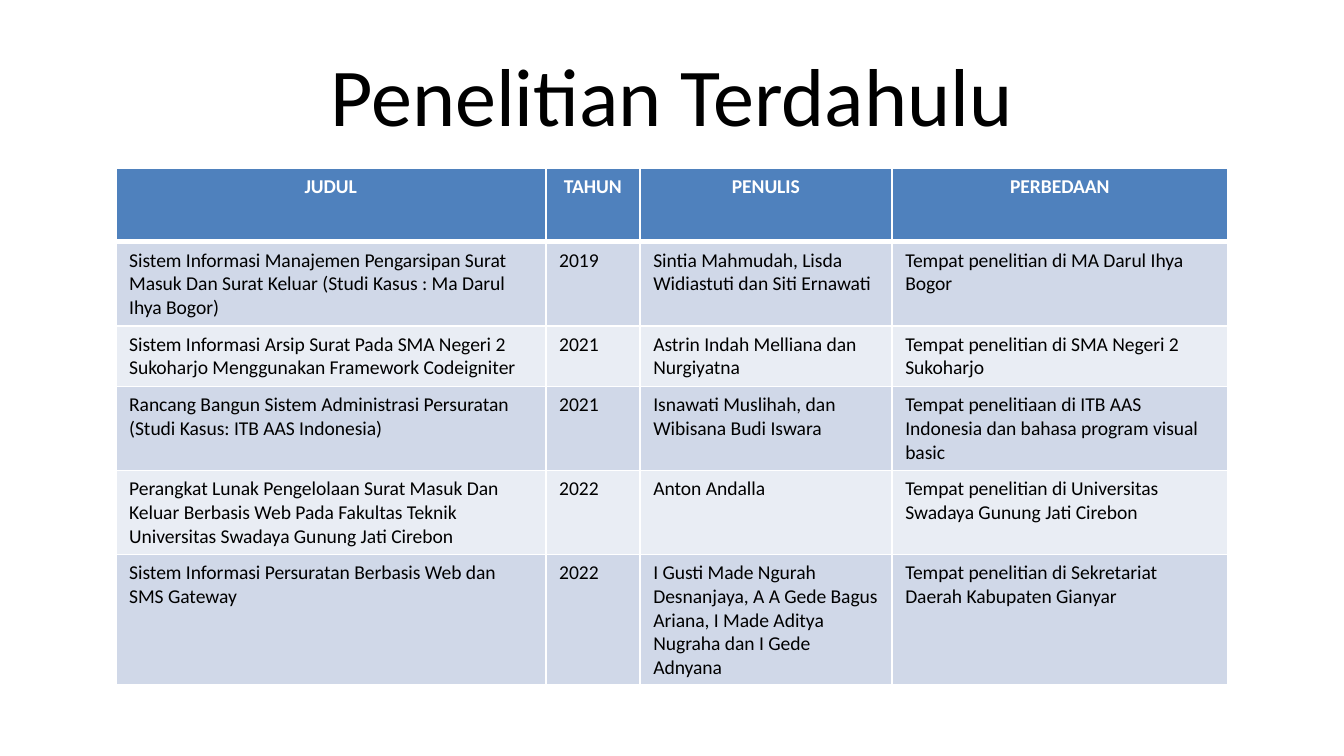
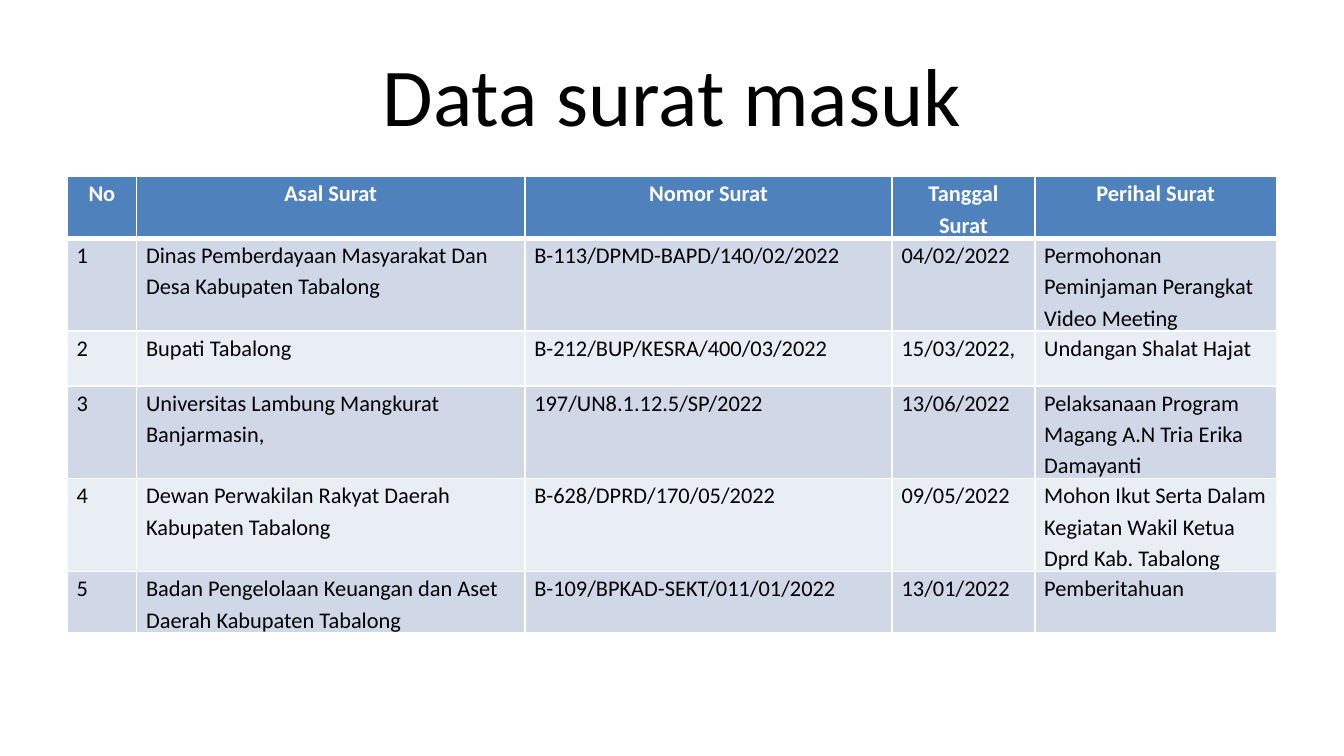
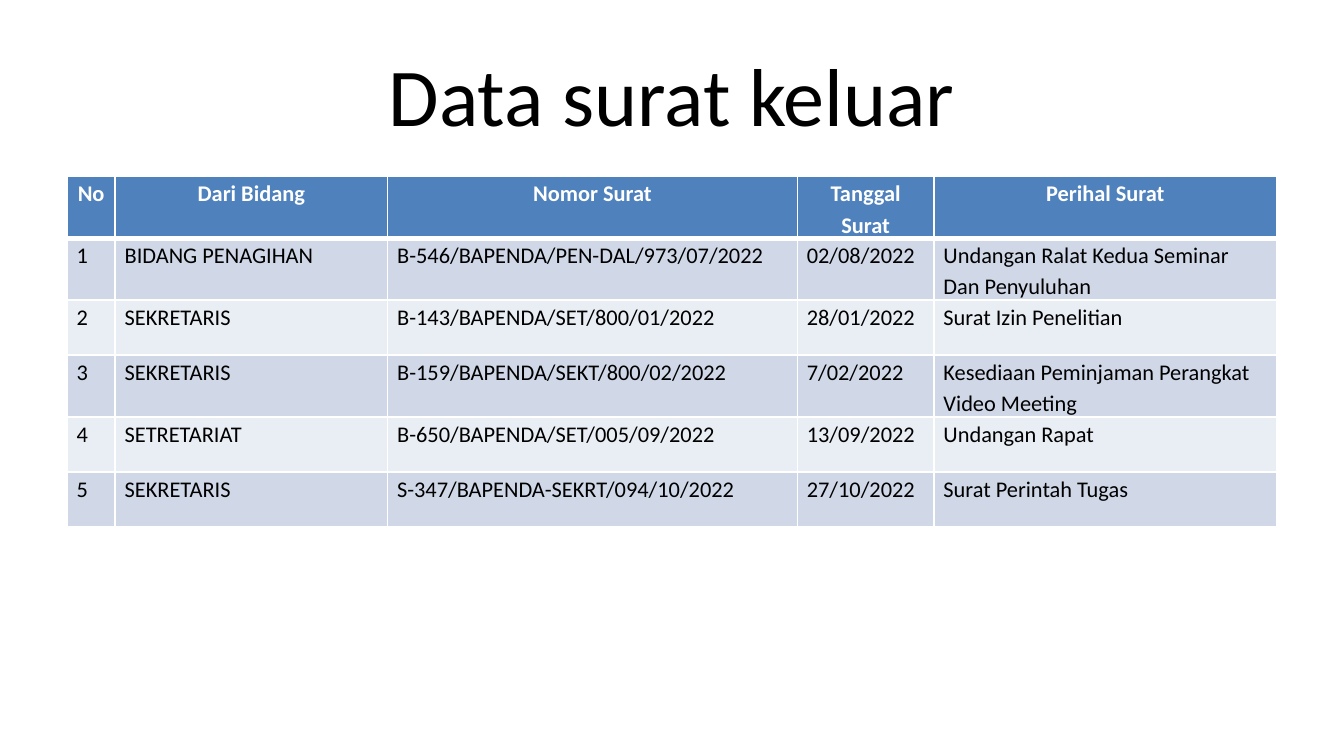
from lxml import etree
from pptx import Presentation
from pptx.dml.color import RGBColor
from pptx.enum.text import MSO_ANCHOR, PP_ALIGN
from pptx.oxml.ns import qn
from pptx.util import Pt

LEFT, CENTER = PP_ALIGN.LEFT, PP_ALIGN.CENTER
TOP, MIDDLE = MSO_ANCHOR.TOP, MSO_ANCHOR.MIDDLE
BLACK = RGBColor(0x00, 0x00, 0x00)
WHITE = RGBColor(0xFF, 0xFF, 0xFF)
BLUE = RGBColor(0x4F, 0x81, 0xBD)
BANDS = RGBColor(0xD0, 0xD8, 0xE8), RGBColor(0xE9, 0xED, 0xF4)
FONT = "Calibri"
THIN, THICK = 1, 3

STUDIES = [
    ("JUDUL", "TAHUN", "PENULIS", "PERBEDAAN"),
    ("Sistem Informasi Manajemen Pengarsipan Surat Masuk Dan Surat Keluar "
     "(Studi Kasus : Ma Darul Ihya Bogor)",
     "2019", "Sintia Mahmudah, Lisda Widiastuti dan Siti Ernawati",
     "Tempat penelitian di MA Darul Ihya Bogor"),
    ("Sistem Informasi Arsip Surat Pada SMA Negeri 2 Sukoharjo "
     "Menggunakan Framework Codeigniter",
     "2021", "Astrin Indah Melliana dan Nurgiyatna",
     "Tempat penelitian di SMA Negeri 2 Sukoharjo"),
    ("Rancang Bangun Sistem Administrasi Persuratan "
     "(Studi Kasus: ITB AAS Indonesia)",
     "2021", "Isnawati Muslihah, dan Wibisana Budi Iswara",
     "Tempat penelitiaan di ITB AAS Indonesia dan bahasa program visual basic"),
    ("Perangkat Lunak Pengelolaan Surat Masuk Dan Keluar Berbasis Web "
     "Pada Fakultas Teknik Universitas Swadaya Gunung Jati Cirebon",
     "2022", "Anton Andalla",
     "Tempat penelitian di Universitas Swadaya Gunung Jati Cirebon"),
    ("Sistem Informasi Persuratan Berbasis Web dan SMS Gateway",
     "2022", "I Gusti Made Ngurah Desnanjaya, A A Gede Bagus Ariana, "
     "I Made Aditya Nugraha dan I Gede Adnyana",
     "Tempat penelitian di Sekretariat Daerah Kabupaten Gianyar"),
]
INBOX = [
    ("No", "Asal Surat", "Nomor Surat", "Tanggal Surat", "Perihal Surat"),
    ("1", "Dinas Pemberdayaan Masyarakat Dan Desa Kabupaten Tabalong",
     "B-113/DPMD-BAPD/140/02/2022", "04/02/2022",
     "Permohonan Peminjaman Perangkat Video Meeting"),
    ("2", "Bupati Tabalong", "B-212/BUP/KESRA/400/03/2022", "15/03/2022,",
     "Undangan Shalat Hajat"),
    ("3", "Universitas Lambung Mangkurat Banjarmasin,",
     "197/UN8.1.12.5/SP/2022", "13/06/2022",
     "Pelaksanaan Program Magang A.N Tria Erika Damayanti"),
    ("4", "Dewan Perwakilan Rakyat Daerah Kabupaten Tabalong",
     "B-628/DPRD/170/05/2022", "09/05/2022",
     "Mohon Ikut Serta Dalam Kegiatan Wakil Ketua Dprd Kab. Tabalong"),
    ("5", "Badan Pengelolaan Keuangan dan Aset Daerah Kabupaten Tabalong",
     "B-109/BPKAD-SEKT/011/01/2022", "13/01/2022", "Pemberitahuan"),
]
OUTBOX = [
    ("No", "Dari Bidang", "Nomor Surat", "Tanggal Surat", "Perihal Surat"),
    ("1", "BIDANG PENAGIHAN", "B-546/BAPENDA/PEN-DAL/973/07/2022",
     "02/08/2022", "Undangan Ralat Kedua Seminar Dan Penyuluhan"),
    ("2", "SEKRETARIS", "B-143/BAPENDA/SET/800/01/2022", "28/01/2022",
     "Surat Izin Penelitian"),
    ("3", "SEKRETARIS", "B-159/BAPENDA/SEKT/800/02/2022", "7/02/2022",
     "Kesediaan Peminjaman Perangkat Video Meeting"),
    ("4", "SETRETARIAT", "B-650/BAPENDA/SET/005/09/2022", "13/09/2022",
     "Undangan Rapat"),
    ("5", "SEKRETARIS", "S-347/BAPENDA-SEKRT/094/10/2022", "27/10/2022",
     "Surat Perintah Tugas"),
]


def write(frame, text, size=12, color=BLACK, bold=False, align=LEFT,
          lead=None, after=None):
    frame.word_wrap = True
    para = frame.paragraphs[0]
    para.alignment = align
    if lead is not None:
        para.line_spacing = lead
    if after is not None:
        para.space_after = Pt(after)
    run = para.add_run()
    run.text = text
    font = run.font
    font.name, font.size, font.bold = FONT, Pt(size), bold
    font.color.rgb = color


def edge(cell, top, bottom):
    """Draw white cell borders; call before the fill, which must follow them."""
    props = cell._tc.get_or_add_tcPr()
    for side, width in (("L", THIN), ("R", THIN), ("T", top), ("B", bottom)):
        line = etree.SubElement(props, qn(f"a:ln{side}"), w=str(Pt(width)))
        fill = etree.SubElement(line, qn("a:solidFill"))
        etree.SubElement(fill, qn("a:srgbClr"), val=str(WHITE))


class Deck:
    def __init__(self):
        self.prs = Presentation()
        self.prs.slide_width, self.prs.slide_height = Pt(720), Pt(405)
        self.slide = None

    def page(self, title):
        self.slide = self.prs.slides.add_slide(self.prs.slide_layouts[6])
        box = self.slide.shapes.add_textbox(Pt(36), Pt(16.25), Pt(648), Pt(67.5))
        box.text_frame.vertical_anchor = MIDDLE
        write(box.text_frame, title, size=44, align=CENTER)

    def table(self, data, left, top, height, cols, head, row, pad=None, **form):
        """Rows start at their least height and grow with their text."""
        shape = self.slide.shapes.add_table(
            len(data), len(cols), Pt(left), Pt(top), Pt(sum(cols)), Pt(height))
        grid = shape.table
        grid.first_row = grid.horz_banding = False
        for col, width in zip(grid.columns, cols):
            col.width = Pt(width)
        for num, texts in enumerate(data):
            grid.rows[num].height = Pt(row if num else head)
            for col, text in enumerate(texts):
                self.cell(grid.cell(num, col), text, num, pad, form)
        shape.height = Pt(height)

    def cell(self, cell, text, num, pad, form):
        edge(cell, THICK if num == 1 else THIN, THIN if num else THICK)
        cell.fill.solid()
        cell.fill.fore_color.rgb = BANDS[(num - 1) % 2] if num else BLUE
        cell.vertical_anchor = TOP
        if pad is not None:
            cell.margin_left = cell.margin_right = Pt(pad)
            cell.margin_top = cell.margin_bottom = Pt(0)
        look = {} if num else dict(color=WHITE, bold=True, align=CENTER)
        write(cell.text_frame, text, **look, **form)


def main():
    deck = Deck()
    deck.page("Penelitian Terdahulu")
    deck.table(STUDIES, 62, 90, 277, (230.4, 50.4, 135, 180), 39.6, 23, size=10.5)

    mail = dict(left=36, top=94.5, head=29.4, row=29.4, pad=5.1, lead=1.15)
    deck.page("Data surat masuk")
    deck.table(INBOX, height=258.5, cols=(37.2, 208, 196.8, 76.4, 129.6),
               after=12, **mail)
    deck.page("Data surat keluar")
    deck.table(OUTBOX, height=187.2, cols=(25.7, 146, 219.5, 73.2, 183.6), **mail)
    deck.prs.save("out.pptx")


if __name__ == "__main__":
    main()
